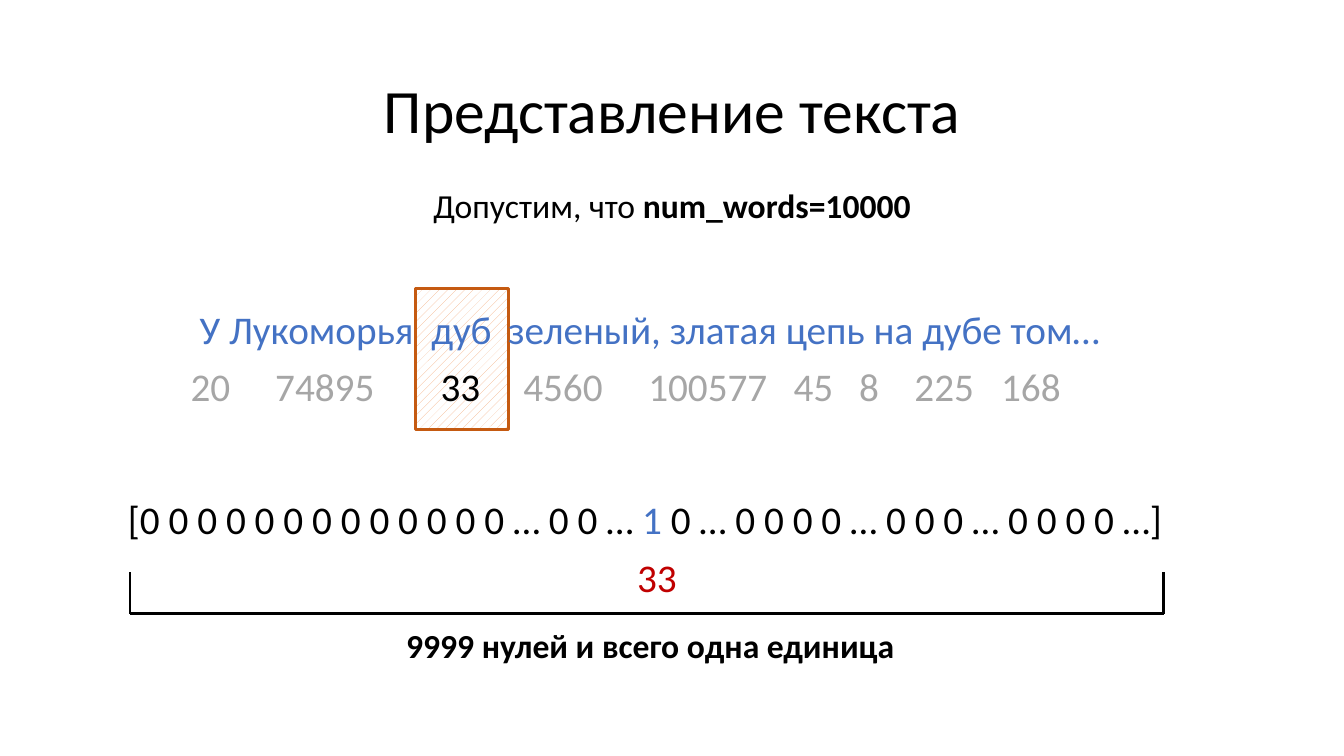
from lxml import etree
from pptx import Presentation
from pptx.dml.color import RGBColor
from pptx.enum.dml import MSO_PATTERN
from pptx.enum.shapes import MSO_CONNECTOR, MSO_SHAPE
from pptx.enum.text import MSO_ANCHOR, MSO_AUTO_SIZE, PP_ALIGN
from pptx.oxml.ns import qn
from pptx.util import Inches, Pt

COLORS = {"black": "000000", "white": "FFFFFF", "blue": "4472C4", "gray": "A6A6A6",
          "red": "C00000", "orange": "C55A11", "peach": "F4B183"}


def rgb(name):
    return RGBColor.from_string(COLORS[name])


class SlideBuilder:
    font = "Calibri"
    line_width = Pt(2)

    def __init__(self, s):
        self.s = s

    def hatched_box(self, x, y, w, h):
        sp = self.s.shapes.add_shape(MSO_SHAPE.RECTANGLE, Inches(x), Inches(y),
                                     Inches(w), Inches(h))
        sp.shadow.inherit = False
        sp.fill.patterned()
        sp.fill.pattern = MSO_PATTERN.PERCENT_20
        sp.fill.fore_color.rgb = rgb("peach")
        sp.fill.back_color.rgb = rgb("white")
        sp.line.color.rgb = rgb("orange")
        sp.line.width = self.line_width

    def text_box(self, x, y, w, h, wrap=False):
        tf = self.s.shapes.add_textbox(Inches(x), Inches(y), Inches(w), Inches(h)).text_frame
        tf.word_wrap = wrap
        tf.auto_size = MSO_AUTO_SIZE.NONE if wrap else MSO_AUTO_SIZE.SHAPE_TO_FIT_TEXT
        return tf

    def runs(self, p, size, *parts):
        """Each part is (text, color) or (text, color, bold)."""
        for text, color, *bold in parts:
            r = p.add_run()
            r.text = text
            r.font.name = self.font
            r.font.size = Pt(size)
            r.font.color.rgb = rgb(color)
            r.font.bold = bool(bold and bold[0])

    def label(self, x, y, w, h, size, *parts):
        self.runs(self.text_box(x, y, w, h).paragraphs[0], size, *parts)

    def title(self, x, y, w, h, text):
        tf = self.text_box(x, y, w, h, wrap=True)
        tf.vertical_anchor = MSO_ANCHOR.MIDDLE
        p = tf.paragraphs[0]
        p.alignment = PP_ALIGN.CENTER
        p.line_spacing = 0.9
        self.runs(p, 44, (text, "black"))

    def word_row(self, y, right, words):
        """Each word is (left edge, text, color) and reaches to the next left edge."""
        edges = [x for x, _, _ in words[1:]] + [right]
        for (x, text, color), end in zip(words, edges):
            tf = self.text_box(x, y, end - x, 0.57, wrap=True)
            tf.margin_left = tf.margin_right = 0
            p = tf.paragraphs[0]
            p.line_spacing = 0.9
            p.space_before = Pt(10)
            self.runs(p, 28, (text, color))

    def line(self, x1, y1, x2, y2):
        c = self.s.shapes.add_connector(MSO_CONNECTOR.STRAIGHT, Inches(x1), Inches(y1),
                                        Inches(x2), Inches(y2))
        c.line.color.rgb = rgb("black")
        c.line.width = self.line_width
        etree.SubElement(c._element.spPr, qn("a:effectLst"))


def main():
    prs = Presentation()
    prs.slide_width, prs.slide_height = Inches(13.33), Inches(7.5)
    b = SlideBuilder(prs.slides.add_slide(prs.slide_layouts[6]))

    # Highlight behind the chosen word
    b.hatched_box(4.12, 2.86, 0.92, 1.4)

    # Title and assumption
    b.title(0.92, 0.4, 11.5, 1.45, "Представление текста")
    b.label(4.2, 1.79, 4.94, 0.5, 24,
            ("Допустим, что ", "black"), ("num_words=10000", "black", True))

    # Sentence with the index of each word below it
    b.word_row(3.03, 11.32, [(1.98, "У Лукоморья", "blue"), (4.28, "дуб", "blue"),
                             (5.04, "зеленый, златая цепь на дубе том…", "blue")])
    b.word_row(3.6, 11.32, [(1.89, "20", "gray"), (2.73, "74895", "gray"),
                            (4.37, "33", "black"), (5.19, "4560", "gray"),
                            (6.43, "100577", "gray"), (7.87, "45", "gray"),
                            (8.52, "8", "gray"), (9.07, "225", "gray"),
                            (9.93, "168", "gray")])

    # One-hot vector
    b.label(1.17, 4.86, 10.91, 0.57, 28,
            ("[0 0 0 0 0 0 0 0 0 0 0 0 0 … 0 0 … ", "black"), ("1 ", "blue"),
            ("0 … 0 0 0 0 … 0 0 0 … 0 0 0 0 …]", "black"))
    b.label(6.22, 5.44, 0.6, 0.57, 28, ("33", "red"))

    # Bracket under the vector
    left, right, top, bottom = 1.29, 11.54, 5.67, 6.09
    b.line(left, bottom, right, bottom)
    for x in (left, right):
        b.line(x, bottom, x, top)
    b.label(3.93, 6.15, 5.08, 0.5, 24, ("9999 нулей и всего одна единица", "black", True))

    prs.save("out.pptx")


if __name__ == "__main__":
    main()
